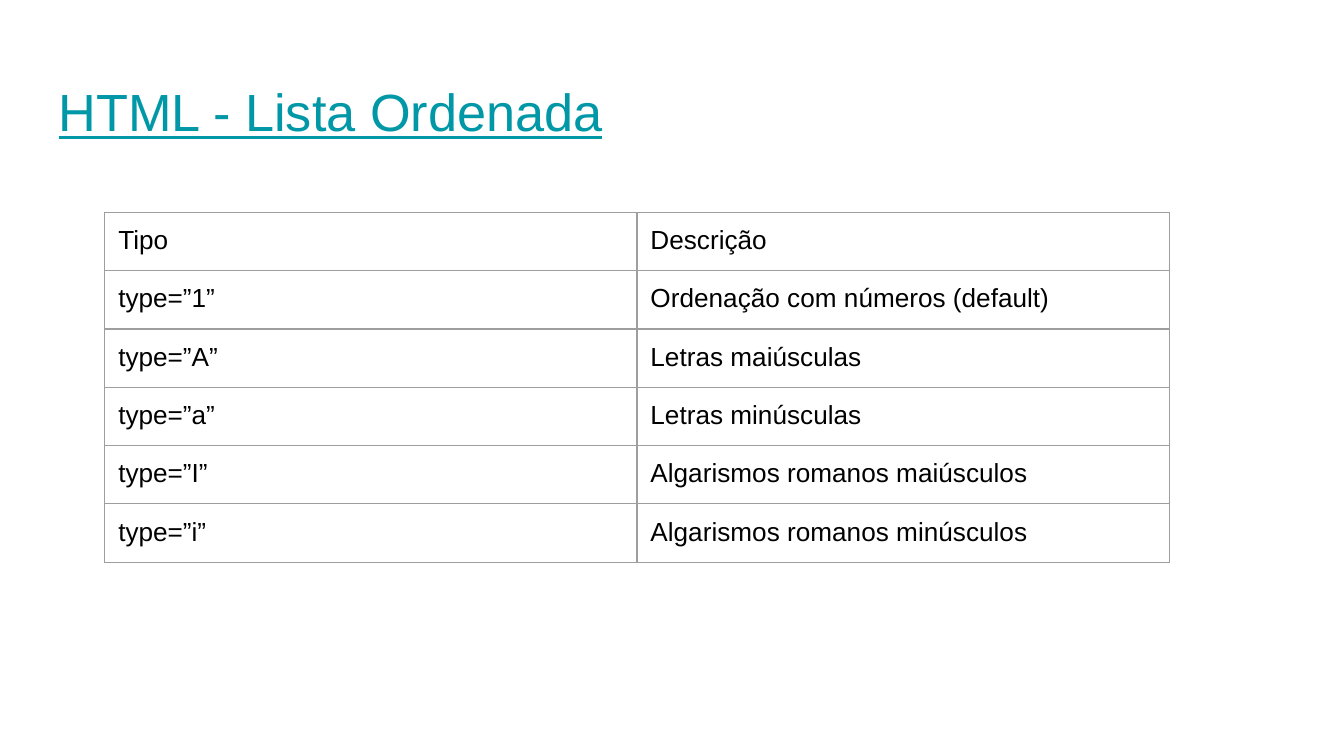
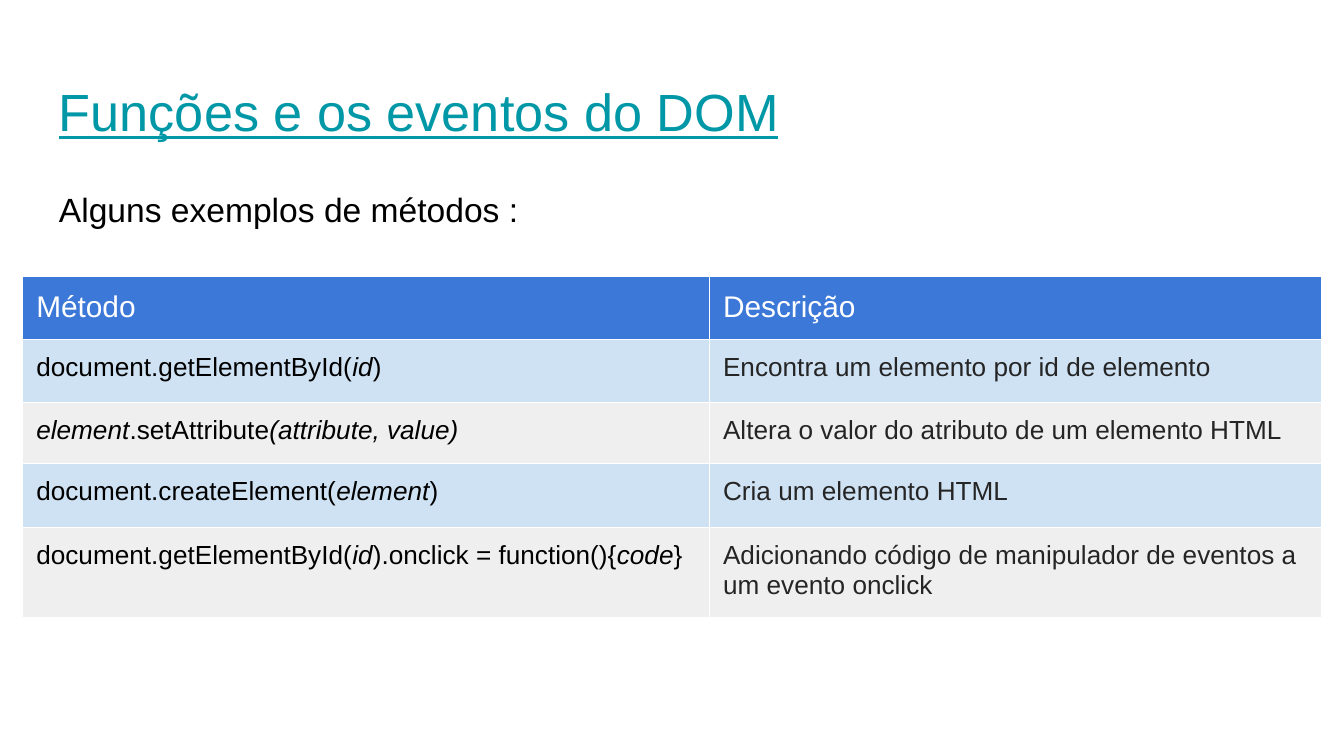
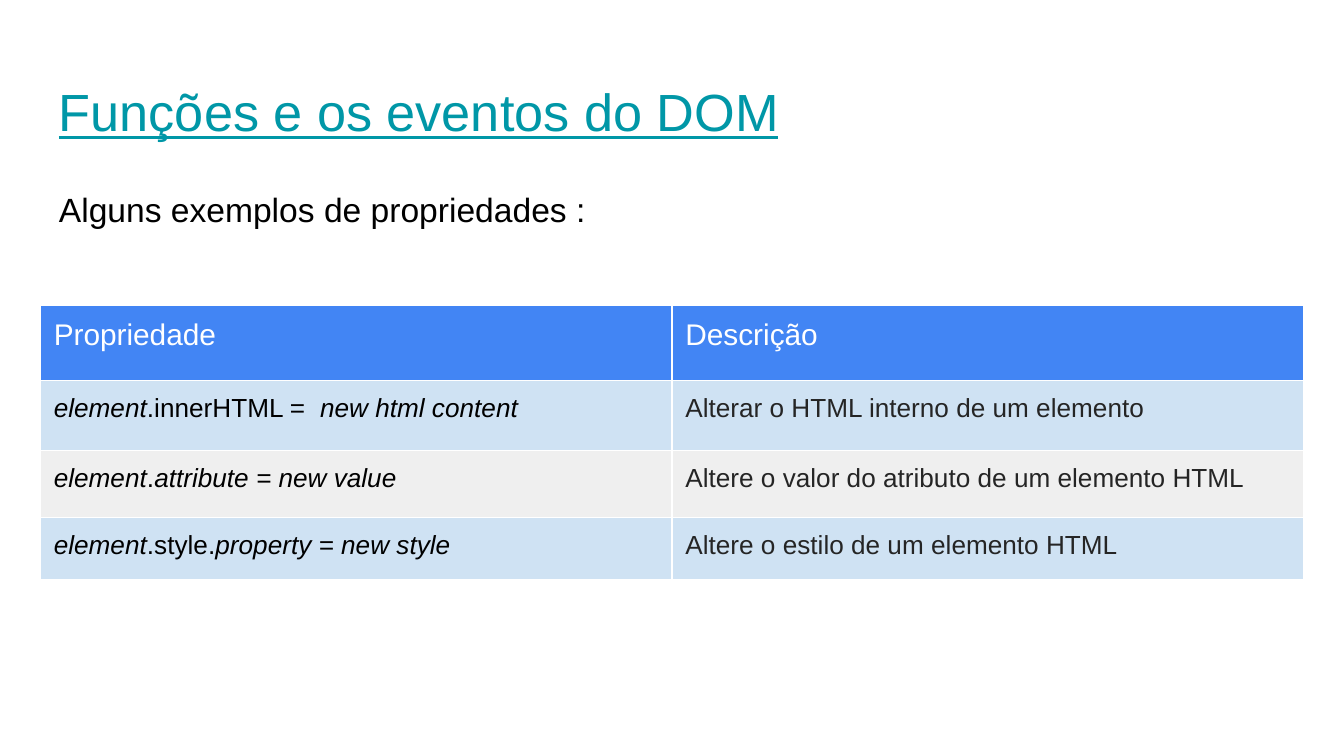
from dataclasses import dataclass
from itertools import cycle

from lxml import etree
from pptx import Presentation
from pptx.dml.color import RGBColor
from pptx.enum.text import MSO_ANCHOR
from pptx.oxml.ns import qn
from pptx.util import Inches, Pt

TOP = MSO_ANCHOR.TOP

SLIDE_WIDTH = Inches(10)
SLIDE_HEIGHT = SLIDE_WIDTH * 9 // 16
GRID_COLUMNS = 100
UNIT = SLIDE_WIDTH // GRID_COLUMNS
INSET = UNIT
BLANK_LAYOUT = 6

FONT = "Arial"
BLACK = RGBColor(0x00, 0x00, 0x00)
WHITE = RGBColor(0xFF, 0xFF, 0xFF)
TEAL = RGBColor(0x00, 0x97, 0xA7)
CHARCOAL = RGBColor(0x25, 0x25, 0x25)
GRAY_RULE = RGBColor(0x9E, 0x9E, 0x9E)
METHOD_BLUE = RGBColor(0x3C, 0x78, 0xD8)
PROPERTY_BLUE = RGBColor(0x42, 0x85, 0xF4)
PALE_BLUE = RGBColor(0xCF, 0xE2, 0xF3)
PALE_GRAY = RGBColor(0xEF, 0xEF, 0xEF)

TITLE_BOX = (3.4, 4.9, 93.2, 6.3)
INTRO_BOX = (3.4, 12.6, 93.2, 37.4)
DOM_TITLE = "Funções e os eventos do DOM"


@dataclass
class TableStyle:
    rule: RGBColor
    header_fill: RGBColor = None
    band_fills: tuple = (None,)
    header_color: RGBColor = BLACK
    header_size: int = 14
    description_color: RGBColor = BLACK


LIST_STYLE = TableStyle(GRAY_RULE)


def dom_style(header_fill):
    return TableStyle(WHITE, header_fill, (PALE_BLUE, PALE_GRAY), WHITE, 16, CHARCOAL)


ORDERED_TYPES = [
    ("Tipo", "Descrição"),
    ("type=”1”", "Ordenação com números (default)"),
    ("type=”A”", "Letras maiúsculas"),
    ("type=”a”", "Letras minúsculas"),
    ("type=”I”", "Algarismos romanos maiúsculos"),
    ("type=”i”", "Algarismos romanos minúsculos"),
]
METHODS = [
    ("Método", "Descrição"),
    ("document.getElementById(*id*)", "Encontra um elemento por id de elemento"),
    ("*element*.setAttribute*(attribute, value)*",
     "Altera o valor do atributo de um elemento HTML"),
    ("document.createElement(*element*)", "Cria um elemento HTML"),
    ("document.getElementById(*id*).onclick = function(){*code*}",
     "Adicionando código de manipulador de eventos a um evento onclick"),
]
PROPERTIES = [
    ("Propriedade", "Descrição"),
    ("*element*.innerHTML =  *new html content*", "Alterar o HTML interno de um elemento"),
    ("*element*.*attribute = new value*", "Altere o valor do atributo de um elemento HTML"),
    ("*element*.style.*property = new style*", "Altere o estilo de um elemento HTML"),
]


def units(count):
    return round(count * UNIT)


def write_runs(paragraph, marked_text, size, color, underline=False, line_spacing=1.0):
    paragraph.line_spacing = line_spacing
    for index, part in enumerate(marked_text.split("*")):
        if part:
            run = paragraph.add_run()
            run.text = part
            font = run.font
            font.name, font.size = FONT, Pt(size)
            font.color.rgb = color
            font.italic = index % 2 == 1
            font.underline = underline


def set_insets(holder):
    holder.margin_left = holder.margin_right = INSET
    holder.margin_top = holder.margin_bottom = INSET


def place_text(slide, box, text, size, color, underline=False, line_spacing=1.0):
    frame = slide.shapes.add_textbox(*map(units, box)).text_frame
    frame.word_wrap = True
    frame.vertical_anchor = TOP
    set_insets(frame)
    write_runs(frame.paragraphs[0], text, size, color, underline, line_spacing)


def rule_cell(cell, color):
    properties = cell._tc.get_or_add_tcPr()
    for side in ("a:lnL", "a:lnR", "a:lnT", "a:lnB"):
        line = etree.SubElement(properties, qn(side), w=str(Pt(0.75)))
        fill = etree.SubElement(line, qn("a:solidFill"))
        etree.SubElement(fill, qn("a:srgbClr"), val=str(color))


def fill_cell(cell, text, size, color, fill, rule):
    set_insets(cell)
    cell.vertical_anchor = TOP
    rule_cell(cell, rule)
    if fill is None:
        cell.fill.background()
    else:
        cell.fill.solid()
        cell.fill.fore_color.rgb = fill
    write_runs(cell.text_frame.paragraphs[0], text, size, color)


def place_table(slide, corner, column_widths, row_heights, entries, style):
    box = (*corner, sum(column_widths), sum(row_heights))
    table = slide.shapes.add_table(
        len(row_heights), len(column_widths), *map(units, box)).table
    table.first_row = table.horz_banding = False
    for column, width in zip(table.columns, column_widths):
        column.width = units(width)
    for row, height in zip(table.rows, row_heights):
        row.height = units(height)

    header, *body = entries
    for cell, heading in zip(table.rows[0].cells, header):
        fill_cell(cell, heading, style.header_size, style.header_color,
                  style.header_fill, style.rule)
    colors = (BLACK, style.description_color)
    for row, texts, band in zip(list(table.rows)[1:], body, cycle(style.band_fills)):
        for cell, text, color in zip(row.cells, texts, colors):
            fill_cell(cell, text, 14, color, band, style.rule)


def add_titled_slide(deck, title):
    slide = deck.slides.add_slide(deck.slide_layouts[BLANK_LAYOUT])
    place_text(slide, TITLE_BOX, title, 28, TEAL, underline=True)
    return slide


def add_dom_slide(deck, intro, corner, column_widths, row_heights, entries, header_fill):
    slide = add_titled_slide(deck, DOM_TITLE)
    place_text(slide, INTRO_BOX, intro, 18, BLACK, line_spacing=1.15)
    place_table(slide, corner, column_widths, row_heights, entries, dom_style(header_fill))


def main():
    deck = Presentation()
    deck.slide_width, deck.slide_height = SLIDE_WIDTH, SLIDE_HEIGHT

    list_slide = add_titled_slide(deck, "HTML - Lista Ordenada")
    place_table(list_slide, (7.8, 15.8), (39.6, 39.6), (4.2,) * len(ORDERED_TYPES),
                ORDERED_TYPES, LIST_STYLE)
    add_dom_slide(deck, "Alguns exemplos de métodos :", (1.7, 20.6), (51.1, 45.5),
                  (4.6, 4.7, 4.5, 4.8, 6.7), METHODS, METHOD_BLUE)
    add_dom_slide(deck, "Alguns exemplos de propriedades :", (3, 22.7), (47, 47),
                  (5.6, 5.2, 5, 4.6), PROPERTIES, PROPERTY_BLUE)

    deck.save("out.pptx")


if __name__ == "__main__":
    main()
